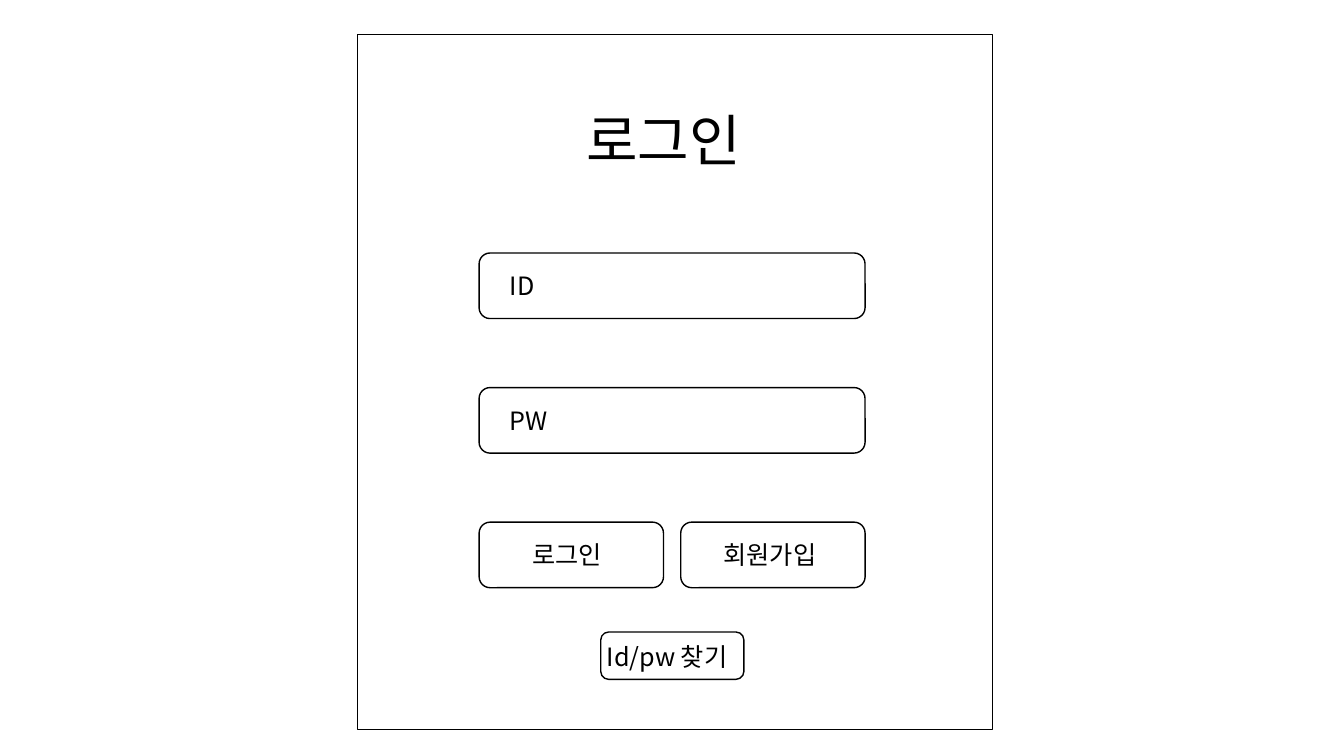
from lxml.etree import SubElement
from pptx import Presentation
from pptx.dml.color import RGBColor
from pptx.enum.shapes import MSO_SHAPE
from pptx.enum.text import MSO_AUTO_SIZE
from pptx.oxml.ns import qn
from pptx.util import Inches, Pt

# Shares of the slide's width and height, in percent
FORM_LEFT, FORM_TOP = 35.65, 33.47
BUTTON_WIDTH, BUTTON_STEP = 13.72, 15
FIELD_WIDTH = BUTTON_STEP + BUTTON_WIDTH
ROW_HEIGHT, ROW_STEP = 8.67, 17.8
LABEL_DROP, LABEL_HEIGHT = 1.65, 5.33


def color(value):
    return RGBColor.from_string(value)


def row_top(row):
    return FORM_TOP + row * ROW_STEP


def write(paragraph, text, font="Noto Sans CJK KR", size=18, ink="000000"):
    span = paragraph.add_run()
    span.text = text
    span.font.name = font
    span.font.size = Pt(size)
    span.font.color.rgb = color(ink)
    # Hangul takes its typeface from the East Asian slot
    SubElement(span.font._element, qn("a:ea"), typeface=font)


class Wireframe:
    ink = "000000"
    line_width = 1

    def __init__(self, deck):
        self.deck = deck
        self.slide = deck.slides.add_slide(deck.slide_layouts[6])

    def area(self, left, top, width, height):
        """Turn percentages of the slide into lengths."""
        across, down = self.deck.slide_width, self.deck.slide_height
        return [int(share * full / 100) for share, full in
                ((left, across), (top, down), (width, across), (height, down))]

    def frame(self, *place, kind=MSO_SHAPE.ROUNDED_RECTANGLE):
        shape = self.slide.shapes.add_shape(kind, *self.area(*place))
        shape.shadow.inherit = False
        shape.fill.background()
        shape.line.color.rgb = color(self.ink)
        shape.line.width = Pt(self.line_width)

    def label(self, text, *place, wrap=False, **style):
        box = self.slide.shapes.add_textbox(*self.area(*place))
        box.text_frame.word_wrap = wrap
        box.text_frame.auto_size = MSO_AUTO_SIZE.SHAPE_TO_FIT_TEXT
        write(box.text_frame.paragraphs[0], text, ink=self.ink, **style)


def main():
    deck = Presentation()
    deck.slide_width, deck.slide_height = Inches(13.33), Inches(7.5)
    page = Wireframe(deck)

    for row in (1, 0):
        page.frame(FORM_LEFT, row_top(row), FIELD_WIDTH, ROW_HEIGHT)
    for column in range(2):
        page.frame(FORM_LEFT + column * BUTTON_STEP, row_top(2),
                   BUTTON_WIDTH, ROW_HEIGHT)
    page.frame(44.7, 83.6, 10.65, 6.27)
    page.frame(26.58, 4.53, 47.25, 92, kind=MSO_SHAPE.RECTANGLE)

    page.label("로그인", 42.9, 13.33, 14.1, 10.27, font="Arial", size=40)
    for text, row, left, width, wrap in (
            ("ID", 0, 37.2, 7.5, True),
            ("PW", 1, 37.2, 4.42, False),
            ("로그인", 2, 38.85, 7.2, False),
            ("회원가입", 2, 53.1, 9.07, False)):
        page.label(text, left, row_top(row) + LABEL_DROP, width, LABEL_HEIGHT,
                   wrap=wrap)
    # Wide enough to keep both words on one line
    page.label("Id/pw 찾기", 44.4, 84.15, 11.6, LABEL_HEIGHT)

    deck.save("out.pptx")


if __name__ == "__main__":
    main()
